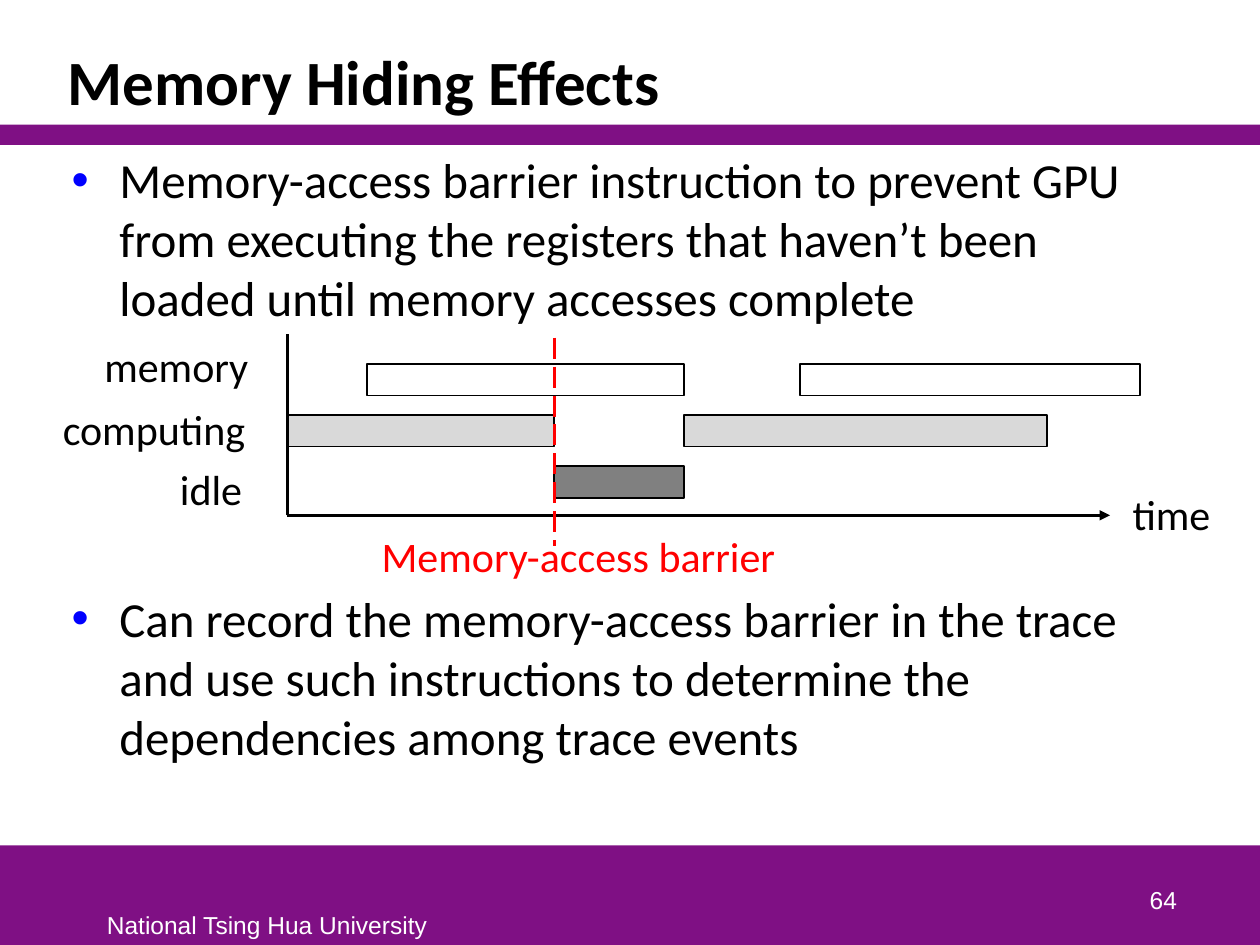
from lxml.etree import SubElement
from pptx import Presentation
from pptx.dml.color import RGBColor
from pptx.enum.dml import MSO_LINE
from pptx.enum.shapes import MSO_CONNECTOR, MSO_SHAPE
from pptx.enum.text import MSO_ANCHOR, PP_ALIGN
from pptx.oxml.ns import qn
from pptx.util import Inches, Pt

COLUMNS, ROWS = 100, 75
SLIDE_WIDTH, SLIDE_HEIGHT = Inches(10), Inches(7.5)

PURPLE = RGBColor(0x7F, 0x10, 0x84)
WHITE = RGBColor(0xFF, 0xFF, 0xFF)
BLACK = RGBColor(0x00, 0x00, 0x00)
RED = RGBColor(0xFF, 0x00, 0x00)
LIGHT_GRAY = RGBColor(0xD9, 0xD9, 0xD9)
GRAY = RGBColor(0x80, 0x80, 0x80)
BULLET_BLUE = "0000FF"

TITLE_FONT = {"name": "Calibri", "size": Pt(36), "bold": True}
BODY_FONT = {"name": "Calibri", "size": Pt(28)}
LABEL_FONT = {"name": "Calibri", "size": Pt(24)}
FOOTER_FONT = {"name": "Arial", "size": Pt(14)}

AXIS_START, AXIS_END = 22.8, 88.1
AXIS_TOP, AXIS_BOTTOM = 26.5, 40.9
BARRIER, RESUME = 44, 54.3
FIRST_LANE, LANE_PITCH, BAR_HEIGHT = 28.9, 4.05, 2.5

POINTS = [
    (11.4, "Memory-access barrier instruction to prevent GPU from executing "
           "the registers that haven’t been loaded until memory accesses complete"),
    (46.2, "Can record the memory-access barrier in the trace and use such "
           "instructions to determine the dependencies among trace events"),
]
BARS = [
    (0, 29.1, RESUME, WHITE),
    (0, 63.5, 90.5, WHITE),
    (1, AXIS_START, BARRIER, LIGHT_GRAY),
    (1, RESUME, 83.1, LIGHT_GRAY),
    (2, BARRIER, RESUME, GRAY),
]
LABELS = [
    ("memory", 7.3, 26.5, 13.6, BLACK),
    ("computing", 4, 31.5, 16.6, BLACK),
    ("idle", 13.3, 36.3, 8.7, BLACK),
    ("time", 88.9, 38.3, 8.3, BLACK),
    ("Memory-access barrier", 29.3, 41.6, 34.2, RED),
]


def col(count):
    return round(SLIDE_WIDTH * count / COLUMNS)


def row(count):
    return round(SLIDE_HEIGHT * count / ROWS)


def apply(target, values):
    for attribute, value in values.items():
        setattr(target, attribute, value)


def add_block(slide, left, top, width, height, fill, outlined=False):
    block = slide.shapes.add_shape(
        MSO_SHAPE.RECTANGLE, col(left), row(top), col(width), row(height))
    block.shadow.inherit = False
    block.fill.solid()
    block.fill.fore_color.rgb = fill
    if outlined:
        block.line.color.rgb = BLACK
        block.line.width = Pt(1)
    else:
        block.line.fill.background()


def add_text(slide, text, box, font, color=BLACK, frame_format=None, paragraph_format=None):
    left, top, width, height = box
    frame = slide.shapes.add_textbox(col(left), row(top), col(width), row(height)).text_frame
    apply(frame, {"word_wrap": True, **(frame_format or {})})
    paragraph = frame.paragraphs[0]
    apply(paragraph, paragraph_format or {})
    run = paragraph.add_run()
    run.text = text
    apply(run.font, font)
    run.font.color.rgb = color
    return paragraph


def add_bullet(paragraph):
    properties = paragraph._p.get_or_add_pPr()
    apply_indent = {"marL": Inches(0.38), "indent": -Inches(0.38)}
    for attribute, value in apply_indent.items():
        properties.set(attribute, str(value))
    bullet_color = SubElement(properties, qn("a:buClr"))
    SubElement(bullet_color, qn("a:srgbClr"), val=BULLET_BLUE)
    SubElement(properties, qn("a:buFont"), typeface="Arial")
    SubElement(properties, qn("a:buChar"), char="•")


def add_line(slide, start, end, color=BLACK, dash=None, arrow=False):
    connector = slide.shapes.add_connector(
        MSO_CONNECTOR.STRAIGHT, col(start[0]), row(start[1]), col(end[0]), row(end[1]))
    connector.line.color.rgb = color
    apply(connector.line, {"width": Pt(1.5), "dash_style": dash})
    if arrow:
        SubElement(connector.line._get_or_add_ln(), qn("a:tailEnd"), type="triangle")
    SubElement(connector._element.spPr, qn("a:effectLst"))


def add_frame(slide):
    add_block(slide, 0, 67.1, COLUMNS, 7.9, PURPLE)
    add_block(slide, 0, 9.9, COLUMNS, 1.6, PURPLE)
    add_text(slide, "National Tsing Hua University", (7.5, 71.7, 27.6, 3.3),
             FOOTER_FONT, WHITE, {"word_wrap": False})
    add_text(slide, "64", (73.6, 68.1, 20.8, 5), FOOTER_FONT, WHITE,
             {"vertical_anchor": MSO_ANCHOR.BOTTOM}, {"alignment": PP_ALIGN.RIGHT})
    add_text(slide, "Memory Hiding Effects", (4.4, 2.5, 89.7, 7.4), TITLE_FONT,
             frame_format={"vertical_anchor": MSO_ANCHOR.BOTTOM},
             paragraph_format={"line_spacing": 0.85})


def add_timeline(slide):
    for lane, start, end, fill in BARS:
        add_block(slide, start, FIRST_LANE + lane * LANE_PITCH,
                  end - start, BAR_HEIGHT, fill, outlined=True)
    origin = (AXIS_START, AXIS_BOTTOM)
    add_line(slide, origin, (AXIS_END, AXIS_BOTTOM), arrow=True)
    add_line(slide, origin, (AXIS_START, AXIS_TOP))
    add_line(slide, (BARRIER, 26.8), (BARRIER, 43.3), RED, MSO_LINE.LONG_DASH)
    for text, left, top, width, color in LABELS:
        add_text(slide, text, (left, top, width, 5), LABEL_FONT, color,
                 {"word_wrap": False})


def main():
    presentation = Presentation()
    apply(presentation, {"slide_width": SLIDE_WIDTH, "slide_height": SLIDE_HEIGHT})
    slide = presentation.slides.add_slide(presentation.slide_layouts[6])
    add_frame(slide)
    for top, text in POINTS:
        add_bullet(add_text(slide, text, (4.7, top, 89.4, 15.2), BODY_FONT))
    add_timeline(slide)
    presentation.save("out.pptx")


if __name__ == "__main__":
    main()
